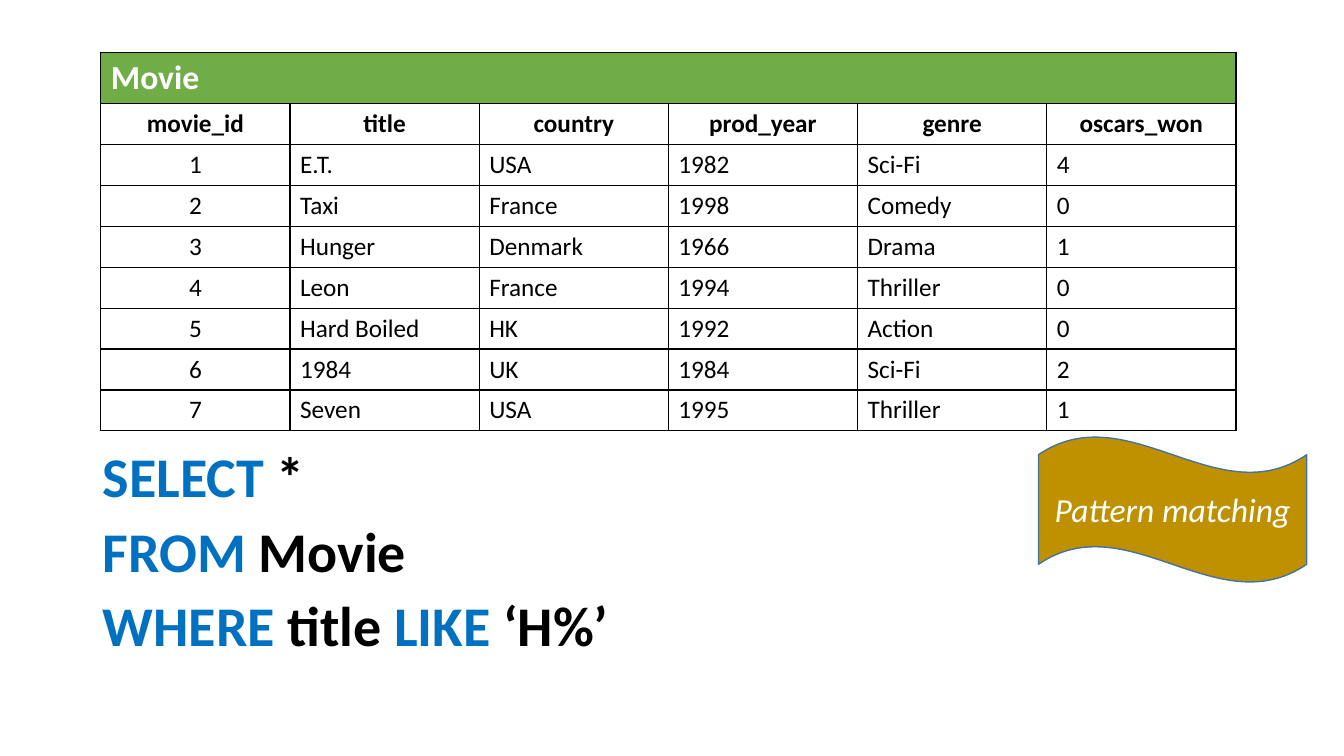
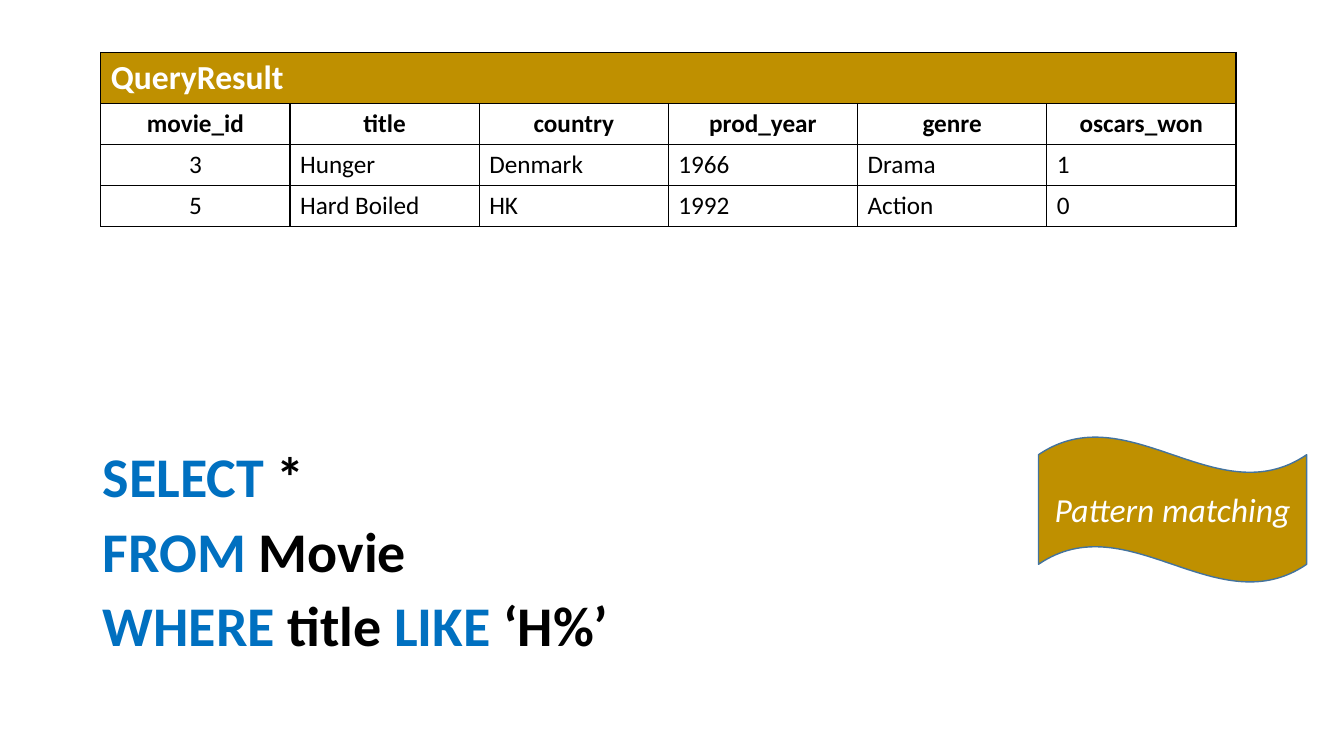
from dataclasses import dataclass

from lxml.etree import SubElement as Sub
from pptx import Presentation
from pptx.dml.color import RGBColor as RGB
from pptx.enum.shapes import MSO_SHAPE as Shape
from pptx.enum.text import MSO_ANCHOR as Anchor, MSO_AUTO_SIZE as Fit, PP_ALIGN as Align
from pptx.oxml.ns import qn
from pptx.util import Inches, Pt


@dataclass(frozen=True)
class Theme:
    face: str = "Calibri"
    black: RGB = RGB(0x00, 0x00, 0x00)
    white: RGB = RGB(0xFF, 0xFF, 0xFF)
    blue: RGB = RGB(0x00, 0x70, 0xC0)
    green: RGB = RGB(0x70, 0xAD, 0x47)
    gold: RGB = RGB(0xBF, 0x90, 0x00)
    edge: RGB = RGB(0x43, 0x73, 0x9E)
    query: Pt = Pt(40)
    head: Pt = Pt(24)
    cell: Pt = Pt(18)


theme = Theme()


def style(font, size, color, bold=False, italic=False):
    font.name = theme.face
    font.size = size
    font.color.rgb = color
    font.bold = bold
    font.italic = italic


def paint(cell, color):
    props = cell._tc.get_or_add_tcPr()
    for side in ("lnL", "lnR", "lnT", "lnB"):
        line = Sub(props, qn(f"a:{side}"), w=str(Pt(1)))
        Sub(Sub(line, qn("a:solidFill")), qn("a:srgbClr"), val=str(theme.black))
    cell.fill.solid()
    cell.fill.fore_color.rgb = color


fields = ["movie_id", "title", "country", "prod_year", "genre", "oscars_won"]
movies = [
    ["1", "E.T.", "USA", "1982", "Sci-Fi", "4"],
    ["2", "Taxi", "France", "1998", "Comedy", "0"],
    ["3", "Hunger", "Denmark", "1966", "Drama", "1"],
    ["4", "Leon", "France", "1994", "Thriller", "0"],
    ["5", "Hard Boiled", "HK", "1992", "Action", "0"],
    ["6", "1984", "UK", "1984", "Sci-Fi", "2"],
    ["7", "Seven", "USA", "1995", "Thriller", "1"],
]
found = [movie for movie in movies if movie[1].startswith("H")]
query = ["SELECT *", "FROM Movie", "WHERE title LIKE ‘H%’"]
keys = {"SELECT", "FROM", "WHERE", "LIKE"}

deck = Presentation()
deck.slide_width = Inches(13.33)
deck.slide_height = Inches(7.5)

for name, color, rows in [
    ("Movie", theme.green, movies),
    ("QueryResult", theme.gold, found),
]:
    slide = deck.slides.add_slide(deck.slide_layouts[1])
    title = slide.shapes.title.element
    title.getparent().remove(title)

    body = slide.placeholders[1]
    body.left, body.top = Inches(0.92), Inches(4.41)
    body.width, body.height = Inches(11.5), Inches(2.55)
    frame = body.text_frame
    frame.auto_size = Fit.NONE
    for i, text in enumerate(query):
        para = frame.add_paragraph() if i else frame.paragraphs[0]
        props = para._p.get_or_add_pPr()
        props.set("marL", "0")
        props.set("indent", "0")
        Sub(props, qn("a:buNone"))
        para.line_spacing = 0.9
        para.space_before = Pt(10 if i else 0)
        for j, word in enumerate(text.split()):
            run = para.add_run()
            run.text = f" {word}" if j else word
            tint = theme.blue if word in keys else theme.black
            style(run.font, theme.query, tint, bold=True)

    grid = [[name] + [""] * (len(fields) - 1), fields] + rows
    table = slide.shapes.add_table(
        len(grid), len(fields), Inches(1), Inches(0.52),
        Inches(11.26), Inches(0.51 + 0.405 * (len(grid) - 1)),
    ).table
    table.horz_banding = False
    for col in table.columns:
        col.width = Inches(11.26 / len(fields))
    for r, values in enumerate(grid):
        table.rows[r].height = Inches(0.405 if r else 0.51)
        for c, value in enumerate(values):
            cell = table.cell(r, c)
            cell.text = value
            paint(cell, theme.white if r else color)
            para = cell.text_frame.paragraphs[0]
            center = r == 1 or (r > 1 and c == 0)
            para.alignment = Align.CENTER if center else Align.LEFT
            size, tint = (theme.cell, theme.black) if r else (theme.head, theme.white)
            style(para.font, size, tint, bold=r < 2)
    table.cell(0, 0).merge(table.cell(0, len(fields) - 1))

    wave = slide.shapes.add_shape(
        Shape.WAVE, Inches(10.3), Inches(4.33), Inches(2.66), Inches(1.45))
    wave.shadow.inherit = False
    wave.fill.solid()
    wave.fill.fore_color.rgb = theme.gold
    wave.line.color.rgb = theme.edge
    wave.line.width = Pt(1)
    wave.text_frame.text = "Pattern matching"
    wave.text_frame.vertical_anchor = Anchor.MIDDLE
    para = wave.text_frame.paragraphs[0]
    para.alignment = Align.CENTER
    style(para.font, theme.head, theme.white, italic=True)

deck.save("out.pptx")
